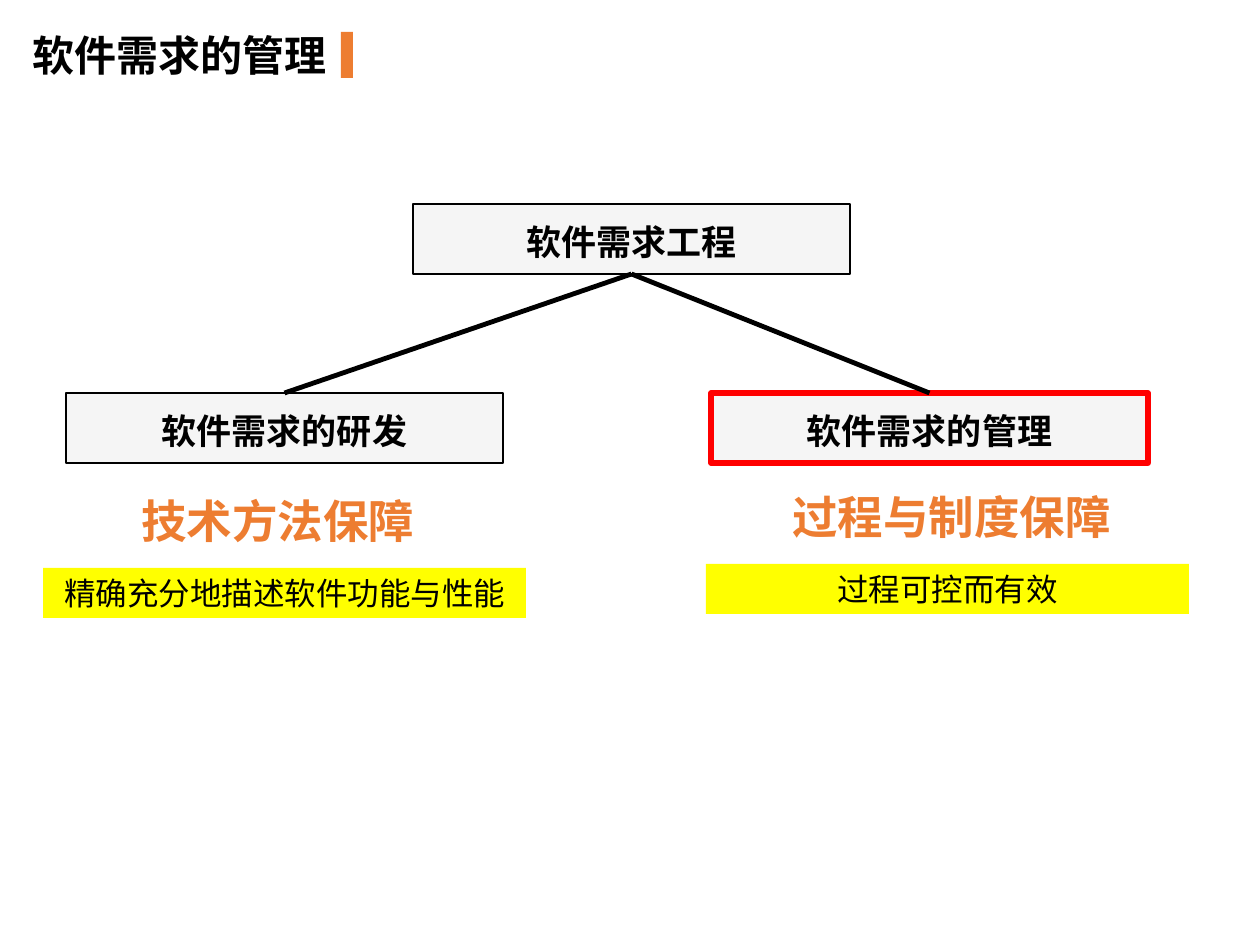
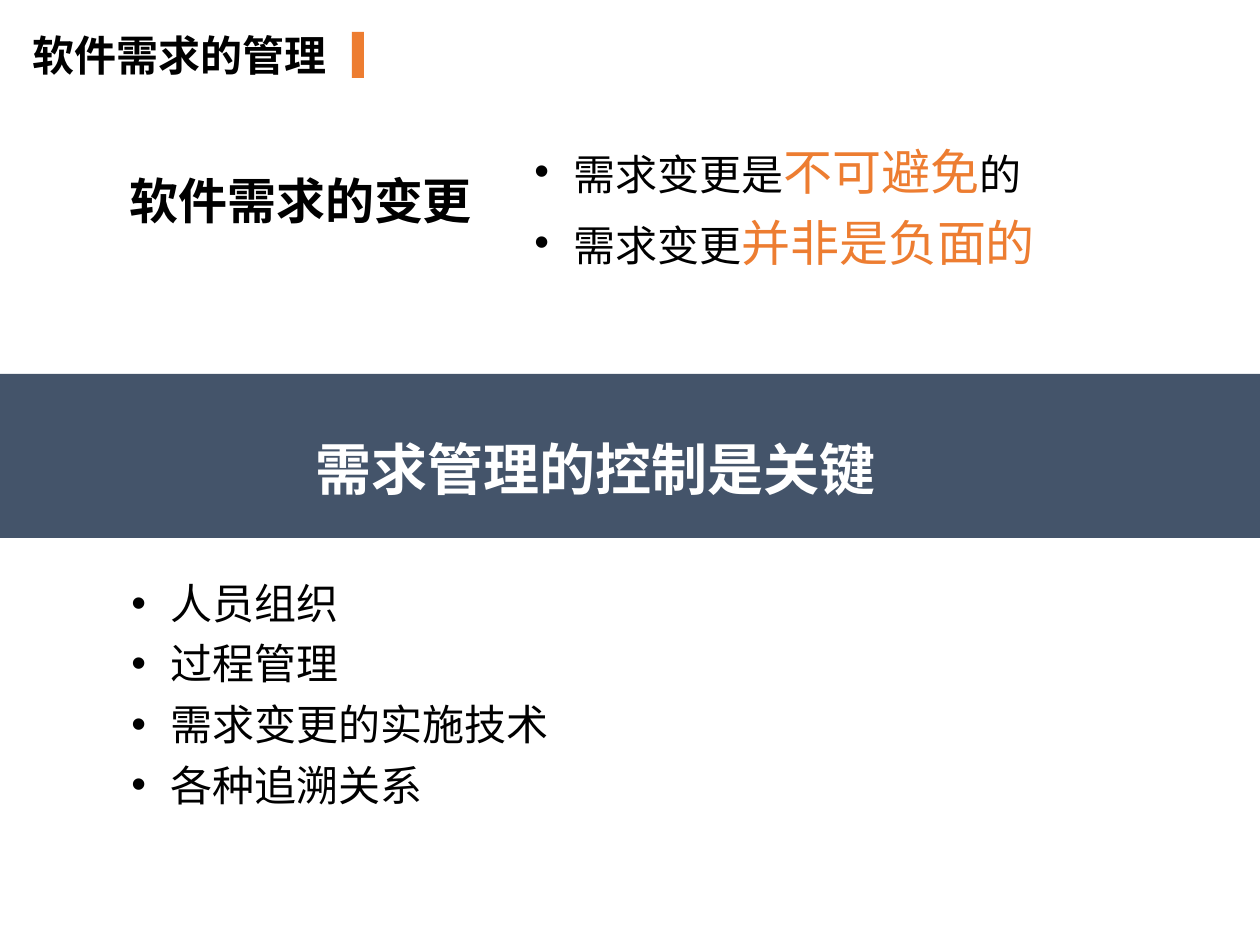
from pptx import Presentation
from pptx.dml.color import RGBColor
from pptx.enum.shapes import MSO_CONNECTOR, MSO_SHAPE
from pptx.enum.text import MSO_ANCHOR, PP_ALIGN
from pptx.util import Inches, Pt
from lxml.etree import SubElement
from pptx.oxml.ns import qn

BLACK = RGBColor(0x00, 0x00, 0x00)
WHITE = RGBColor(0xFF, 0xFF, 0xFF)
ORANGE = RGBColor(0xED, 0x7D, 0x31)
RED = RGBColor(0xFF, 0x00, 0x00)
YELLOW = RGBColor(0xFF, 0xFF, 0x00)
PALE_GREY = RGBColor(0xF5, 0xF5, 0xF5)
SLATE = RGBColor(0x44, 0x54, 0x6A)

SANS = "Noto Sans CJK SC"
PIXELS_PER_INCH = 126


def px(length):
    return Inches(length / PIXELS_PER_INCH)


def write(para, text, size=24, color=BLACK, bold=False, font=SANS):
    span = para.add_run()
    span.text = text
    span.font.size = Pt(size)
    span.font.bold = bold
    span.font.color.rgb = color
    span.font.name = font
    SubElement(span.font._element, qn("a:ea"), typeface=SANS)


class SlideBuilder:
    def __init__(self, deck):
        self.deck = deck
        self.page = None

    def new_page(self, title, marker_left):
        self.page = self.deck.slides.add_slide(self.deck.slide_layouts[5])
        box = self.page.shapes.title
        box.left, box.top, box.width, box.height = map(px, (20, 23, 431, 63))
        self.fill_text(box, title, align=PP_ALIGN.LEFT, bold=True)
        self.rectangle(marker_left, 32, 12, 46, ORANGE)

    def fill_text(self, box, text, align=PP_ALIGN.LEFT, **style):
        frame = box.text_frame
        frame.word_wrap = True
        frame.vertical_anchor = MSO_ANCHOR.MIDDLE
        frame.margin_top = frame.margin_bottom = 0
        para = frame.paragraphs[0]
        para.alignment = align
        write(para, text, **style)

    def rectangle(self, left, top, width, height, fill, line=None, line_width=1.5):
        box = self.page.shapes.add_shape(
            MSO_SHAPE.RECTANGLE, px(left), px(top), px(width), px(height))
        box.shadow.inherit = False
        box.fill.solid()
        box.fill.fore_color.rgb = fill
        if line is None:
            box.line.fill.background()
        else:
            box.line.color.rgb = line
            box.line.width = Pt(line_width)
        return box

    def node(self, text, left, top, **outline):
        box = self.rectangle(left, top, 437, 70, PALE_GREY, **outline)
        self.fill_text(box, text, align=PP_ALIGN.CENTER, size=20, bold=True, font="Arial")
        box.text_frame.margin_top = px(5)
        return box

    def label(self, text, left, top, width, height, **style):
        box = self.page.shapes.add_textbox(px(left), px(top), px(width), px(height))
        self.fill_text(box, text, **style)

    def highlight(self, text, left, top):
        box = self.rectangle(left, top, 483, 50, YELLOW)
        self.fill_text(box, text, align=PP_ALIGN.CENTER, size=18)

    def branch(self, parent, child):
        line = self.page.shapes.add_connector(MSO_CONNECTOR.STRAIGHT, 0, 0, 0, 0)
        line.begin_connect(parent, 2)
        line.end_connect(child, 0)
        line.line.color.rgb = BLACK
        line.line.width = Pt(2.75)
        SubElement(line._element.spPr, qn("a:effectLst"))

    def bullets(self, items, left, top, width, height, line_height):
        box = self.page.shapes.add_textbox(px(left), px(top), px(width), px(height))
        frame = box.text_frame
        frame.word_wrap = True
        for index, spans in enumerate(items):
            para = frame.add_paragraph() if index else frame.paragraphs[0]
            properties = para._p.get_or_add_pPr()
            properties.set("marL", str(px(39)))
            properties.set("indent", str(-px(39)))
            SubElement(properties, qn("a:buFont"), typeface="Arial")
            SubElement(properties, qn("a:buChar"), char="•")
            para.line_spacing = Pt(line_height)
            for text, style in spans:
                write(para, text, **style)


def build_overview(builder):
    builder.new_page("软件需求的管理", 341)
    root = builder.node("软件需求工程", 413, 204, line=BLACK)
    development = builder.node("软件需求的研发", 66, 393, line=BLACK)
    management = builder.node("软件需求的管理", 711, 393, line=RED, line_width=3)
    for child in (development, management):
        builder.branch(root, child)
    for heading, detail, heading_left, detail_left, top in (
        ("技术方法保障", "精确充分地描述软件功能与性能", 129, 43, 486),
        ("过程与制度保障", "过程可控而有效", 780, 706, 482),
    ):
        builder.label(heading, heading_left, top, 400, 68, size=26, color=ORANGE, bold=True)
        builder.highlight(detail, detail_left, top + 82)


def build_change_control(builder):
    builder.new_page("软件需求的管理", 352)
    builder.rectangle(0, 374, 1260, 164, SLATE)
    accent = {"size": 28, "color": ORANGE}
    builder.bullets(
        [
            [("需求变更是", {}), ("不可避免", accent), ("的", {})],
            [("需求变更", {}), ("并非是负面的", accent)],
        ],
        522, 123, 630, 155, 40.5)
    builder.label("软件需求的变更", 117, 164, 372, 72, size=28, bold=True)
    builder.label("需求管理的控制是关键", 300, 428, 591, 81, align=PP_ALIGN.CENTER,
                  size=32, color=WHITE, bold=True, font="Times New Roman")
    topics = ("人员组织", "过程管理", "需求变更的实施技术", "各种追溯关系")
    builder.bullets([[(topic, {})] for topic in topics], 119, 561, 1043, 267, 34.6)


def main():
    deck = Presentation()
    deck.slide_width = Inches(10)
    deck.slide_height = Inches(7.5)
    builder = SlideBuilder(deck)
    build_overview(builder)
    build_change_control(builder)
    deck.save("out.pptx")


if __name__ == "__main__":
    main()
